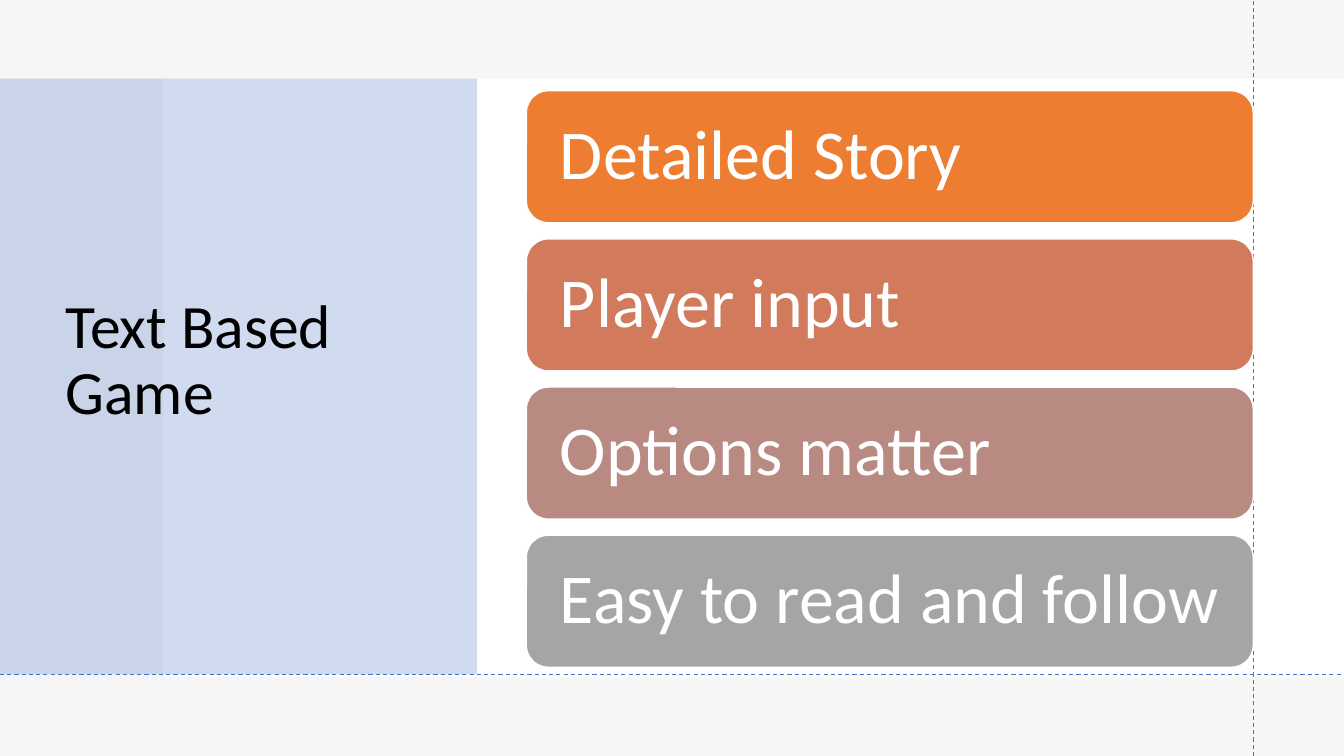
from lxml import etree
from pptx import Presentation
from pptx.dml.color import RGBColor
from pptx.enum.dml import MSO_LINE
from pptx.enum.shapes import MSO_CONNECTOR, MSO_SHAPE
from pptx.enum.text import MSO_ANCHOR, MSO_AUTO_SIZE, PP_ALIGN
from pptx.oxml.ns import qn
from pptx.util import Inches, Pt

WHITE = RGBColor(0xFF, 0xFF, 0xFF)
BLACK = RGBColor(0, 0, 0)
GREY = RGBColor(0xE7, 0xE6, 0xE6)
BLUE = RGBColor(0x44, 0x72, 0xC4)
FONT = "Calibri"

# Content
TITLE = "Text Based Game"
FEATURES = [
    ("Detailed Story", RGBColor(0xED, 0x7D, 0x31)),
    ("Player input", RGBColor(0xD1, 0x7B, 0x5C)),
    ("Options matter", RGBColor(0xB9, 0x8A, 0x82)),
    ("Easy to read and follow", RGBColor(0xA5, 0xA5, 0xA5)),
]

# Layout in inches
WIDTH, HEIGHT = 13.33, 7.5
PANELS = [  # left, top, width, height, colour, opacity in percent
    (0, 0, WIDTH, HEIGHT, WHITE, 100),
    (0, 0, WIDTH, HEIGHT, GREY, 35),
    (1.62, 0.78, WIDTH - 1.62, 5.94, WHITE, 100),
    (0, 0.78, 4.73, 5.91, BLUE, 25),
]
GUIDES = [(12.43, HEIGHT, 12.43, 0), (0, 6.69, WIDTH, 6.69)]
BAR_LEFT, BAR_TOP, BAR_WIDTH, BAR_HEIGHT, BAR_STEP = 5.22, 0.9, 7.21, 1.31, 1.47


def paint(fill, color, opacity=100):
    fill.solid()
    fill.fore_color.rgb = color
    if opacity < 100:
        color_node = fill._xPr.find(qn("a:solidFill"))[0]
        etree.SubElement(color_node, qn("a:alpha"), val=str(opacity * 1000))


def add_block(slide, kind, left, top, width, height, color, opacity=100):
    block = slide.shapes.add_shape(
        kind, Inches(left), Inches(top), Inches(width), Inches(height))
    block.shadow.inherit = False
    paint(block.fill, color, opacity)
    block.line.fill.background()
    return block


def write(frame, text, size, color):
    frame.word_wrap = True
    frame.auto_size = MSO_AUTO_SIZE.NONE
    frame.vertical_anchor = MSO_ANCHOR.MIDDLE
    paragraph = frame.paragraphs[0]
    paragraph.alignment = PP_ALIGN.LEFT
    paragraph.line_spacing = 0.9
    run = paragraph.add_run()
    run.text = text
    run.font.name = FONT
    run.font.size = Pt(size)
    run.font.color.rgb = color


def main():
    deck = Presentation()
    deck.slide_width, deck.slide_height = Inches(WIDTH), Inches(HEIGHT)
    slide = deck.slides.add_slide(deck.slide_layouts[5])
    paint(slide.background.fill, GREY, 35)

    # Background panels
    for panel in PANELS:
        add_block(slide, MSO_SHAPE.RECTANGLE, *panel)

    # Title, brought in front of the panels
    title = slide.shapes.title
    title.left, title.top = Inches(0.55), Inches(0.74)
    title.width, title.height = Inches(3.95), Inches(5.69)
    write(title.text_frame, TITLE, 44, BLACK)
    slide.shapes._spTree.append(title._element)

    # Dashed guides
    for ends in GUIDES:
        guide = slide.shapes.add_connector(
            MSO_CONNECTOR.STRAIGHT, *[Inches(end) for end in ends])
        guide.line.color.rgb = BLUE
        guide.line.width = Pt(0.75)
        guide.line.dash_style = MSO_LINE.DASH
        etree.SubElement(guide._element.spPr, qn("a:effectLst"))

    # Feature bars
    for row, (feature, color) in enumerate(FEATURES):
        bar = add_block(slide, MSO_SHAPE.ROUNDED_RECTANGLE, BAR_LEFT,
                        BAR_TOP + row * BAR_STEP, BAR_WIDTH, BAR_HEIGHT, color)
        bar.line.color.rgb = WHITE
        bar.line.width = Pt(1)
        frame = bar.text_frame
        frame.margin_left = frame.margin_right = Inches(0.27)
        frame.margin_top = frame.margin_bottom = 0
        write(frame, feature, 50, WHITE)

    deck.save("out.pptx")


if __name__ == "__main__":
    main()
